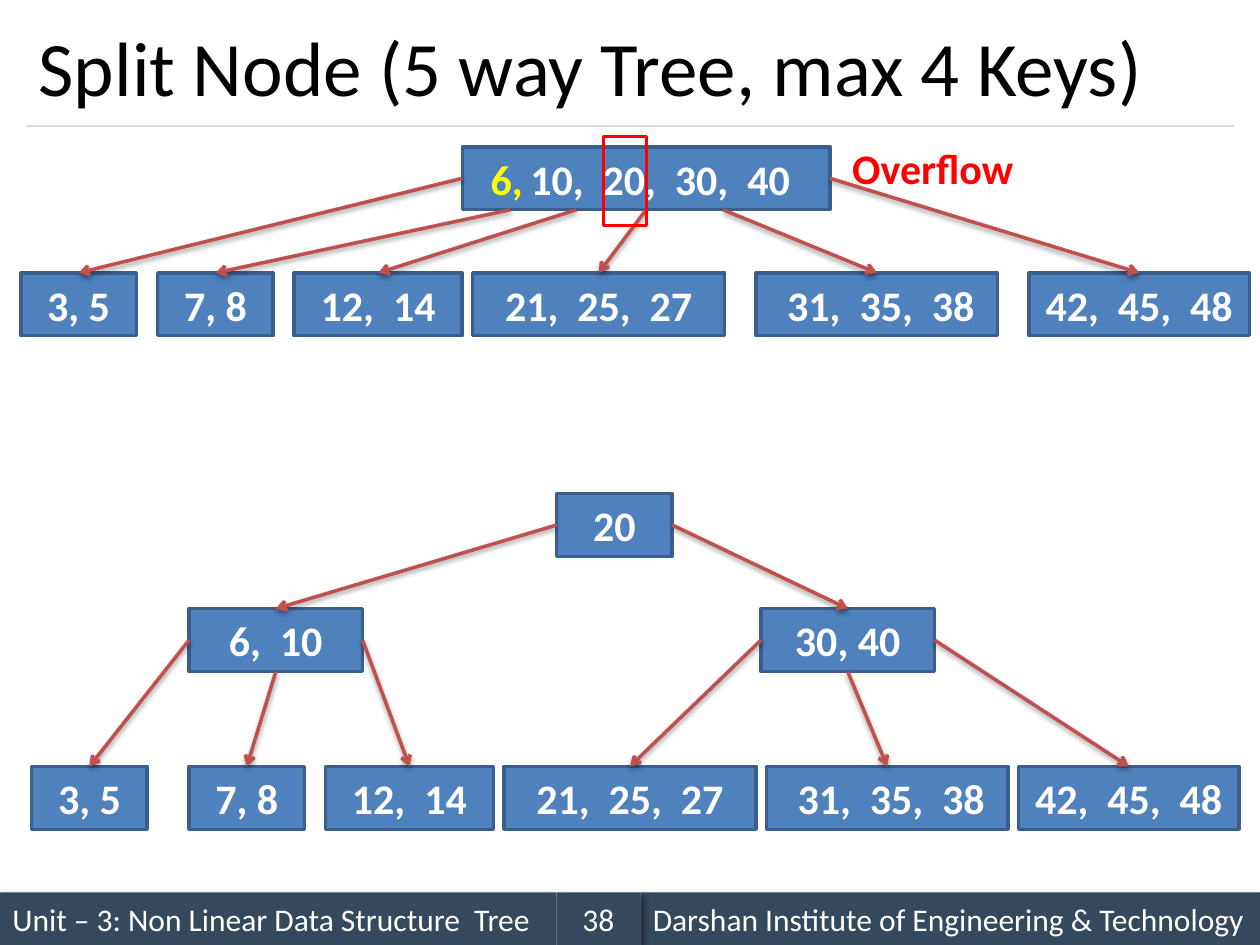
from dataclasses import dataclass

from lxml.etree import SubElement
from pptx import Presentation
from pptx.dml.color import RGBColor as RGB
from pptx.enum.shapes import MSO_CONNECTOR as CONN, MSO_SHAPE as SHAPE
from pptx.enum.text import MSO_ANCHOR as ANCHOR, PP_ALIGN as ALIGN
from pptx.oxml.ns import qn
from pptx.util import Cm, Pt


@dataclass(frozen=True)
class Theme:
    font: str = "Calibri"
    ink: str = "000000"
    white: str = "FFFFFF"
    node: str = "4F81BD"
    node_edge: str = "3A5F8C"
    arrow: str = "C0504D"
    alert: str = "FF0000"
    new_key: str = "FFFF00"
    bar: str = "34495E"
    rule: str = "D9D9D9"
    title_size: int = 44
    key_size: int = 24
    footer_size: int = 18
    stroke: int = 2


@dataclass(frozen=True)
class Box:
    x: float
    y: float
    w: float
    h: float

    def inner(self, dx, dy, w, h):
        return Box(self.x + dx, self.y + dy, w, h)

    def lengths(self):
        return [Cm(v) for v in (self.x, self.y, self.w, self.h)]


T = Theme()
NODE_H = 1.27
LEAVES = [("3, 5", 2.33), ("7, 8", 2.33), ("12,  14", 3.39),
          ("21,  25,  27", 5.08), ("31,  35,  38", 4.87), ("42,  45,  48", 4.45)]
LEFT, BOTTOM, RIGHT = (0, 0.5), (0.5, 1), (1, 0.5)


def write(sp, text, size, color, bold=False, align=ALIGN.LEFT,
          anchor=ANCHOR.MIDDLE, wrap=True, inset=0.25):
    tf = sp.text_frame
    frame = {"word_wrap": wrap, "vertical_anchor": anchor, "margin_left": Cm(inset)}
    for name, value in frame.items():
        setattr(tf, name, value)
    p = tf.paragraphs[0]
    p.alignment = align
    r = p.add_run()
    r.text = text
    for name, value in {"name": T.font, "size": Pt(size), "bold": bold}.items():
        setattr(r.font, name, value)
    r.font.color.rgb = RGB.from_string(color)


def add_shadow(effects, alpha, blur, dist, angle):
    shadow = SubElement(effects, qn("a:outerShdw"), blurRad=str(Pt(blur)),
                        dist=str(Pt(dist)), dir=str(angle * 60000), rotWithShape="0")
    color = SubElement(shadow, qn("a:srgbClr"), val=T.ink)
    SubElement(color, qn("a:alpha"), val=str(alpha * 1000))


def add_text(s, box, *args, **style):
    sp = s.shapes.add_textbox(*box.lengths())
    write(sp, *args, **style)


def add_rect(s, box, fill=None, edge=None):
    sp = s.shapes.add_shape(SHAPE.RECTANGLE, *box.lengths())
    sp.shadow.inherit = False
    if fill:
        sp.fill.solid()
        sp.fill.fore_color.rgb = RGB.from_string(fill)
    else:
        sp.fill.background()
    if edge:
        sp.line.color.rgb = RGB.from_string(edge)
        sp.line.width = Pt(T.stroke)
    else:
        sp.line.fill.background()
    return sp


def add_line(s, ends, color, width):
    """Draw a straight line and return it with its empty effect list."""
    line = s.shapes.add_connector(CONN.STRAIGHT, *ends)
    line.line.color.rgb = RGB.from_string(color)
    line.line.width = Pt(width)
    return line, SubElement(line.element.spPr, qn("a:effectLst"))


def add_node(s, box, keys, align=ALIGN.CENTER, inset=0.25):
    sp = add_rect(s, box, T.node, T.node_edge)
    write(sp, keys, T.key_size, T.white, bold=True, align=align, inset=inset)
    return sp


def link(s, parent, child, port):
    """Point from a port, given as fractions of the parent, to the child's top."""
    fx, fy = port
    ends = (int(parent.left + parent.width * fx), int(parent.top + parent.height * fy),
            child.left + child.width // 2, child.top)
    line, effects = add_line(s, ends, T.arrow, T.stroke)
    SubElement(line.element.spPr.find(qn("a:ln")), qn("a:tailEnd"), type="arrow")
    add_shadow(effects, 38, 3.1, 1.6, 90)


def add_leaves(s, box, dy, offsets):
    nodes = []
    for (keys, w), dx in zip(LEAVES, offsets):
        style = {"align": ALIGN.LEFT, "inset": 0.63} if keys.startswith("31") else {}
        nodes.append(add_node(s, box.inner(dx, dy, w, NODE_H), keys, **style))
    return nodes


def header(s, box):
    add_text(s, box, "Split Node (5 way Tree, max 4 Keys)", T.title_size, T.ink)
    y = Cm(box.y + box.h + 0.1)
    add_line(s, (Cm(box.x), y, Cm(box.x + box.w), y), T.rule, 0.75)


def overflow_tree(s, box):
    root = add_node(s, box.inner(8.9, 0.21, 7.41, NODE_H), "10,  20,  30,  40", inset=0.82)
    leaves = add_leaves(s, box, 2.75, [0, 2.76, 5.51, 9.11, 14.82, 20.32])
    ports = [LEFT, (0.13, 1), (0.31, 1), BOTTOM, (0.71, 1), RIGHT]
    for leaf, port in zip(leaves, ports):
        link(s, root, leaf, port)
    label = {"bold": True, "anchor": ANCHOR.TOP, "wrap": False}
    add_text(s, box.inner(9.22, 0.21, 1.37, NODE_H), "6,", T.key_size, T.new_key, **label)
    add_text(s, box.inner(16.51, 0, 3.81, NODE_H), "Overflow", T.key_size, T.alert, **label)
    add_rect(s, box.inner(11.75, 0, 0.86, 1.8), edge=T.alert)


def split_tree(s, box):
    leaves = add_leaves(s, box, 5.5, [0, 3.17, 5.92, 9.52, 14.81, 19.89])
    root = add_node(s, box.inner(10.58, 0, 2.33, NODE_H), "20")
    branches = [("6,  10", 3.17, LEFT, leaves[:3]), ("30, 40", 14.7, RIGHT, leaves[3:])]
    for keys, dx, root_port, children in branches:
        branch = add_node(s, box.inner(dx, 2.32, 3.5, NODE_H), keys)
        link(s, root, branch, root_port)
        for child, port in zip(children, (LEFT, BOTTOM, RIGHT)):
            link(s, branch, child, port)


def footer(s, box):
    unit_w, number_w = 11.22, 1.69
    right = unit_w + number_w
    bars = [("Unit – 3: Non Linear Data Structure  Tree", 0, unit_w, ALIGN.LEFT),
            ("Darshan Institute of Engineering & Technology", right, box.w - right, ALIGN.LEFT),
            ("38", unit_w, number_w, ALIGN.CENTER)]
    for text, dx, w, align in bars:
        sp = add_rect(s, box.inner(dx, 0, w, box.h), T.bar)
        add_shadow(sp.element.spPr.find(qn("a:effectLst")), 40, 4, 3, 45)
        write(sp, text, T.footer_size, T.white, align=align)


def main():
    prs = Presentation()
    prs.slide_width, prs.slide_height = Cm(25.4), Cm(19.05)
    s = prs.slides.add_slide(prs.slide_layouts[6])
    footer(s, Box(0, 17.99, 25.4, 1.06))
    header(s, Box(0.53, 0.2, 24.34, 2.24))
    overflow_tree(s, Box(0.42, 2.75, 24.77, 4.02))
    split_tree(s, Box(0.64, 9.95, 24.34, 6.77))
    prs.save("out.pptx")


if __name__ == "__main__":
    main()
